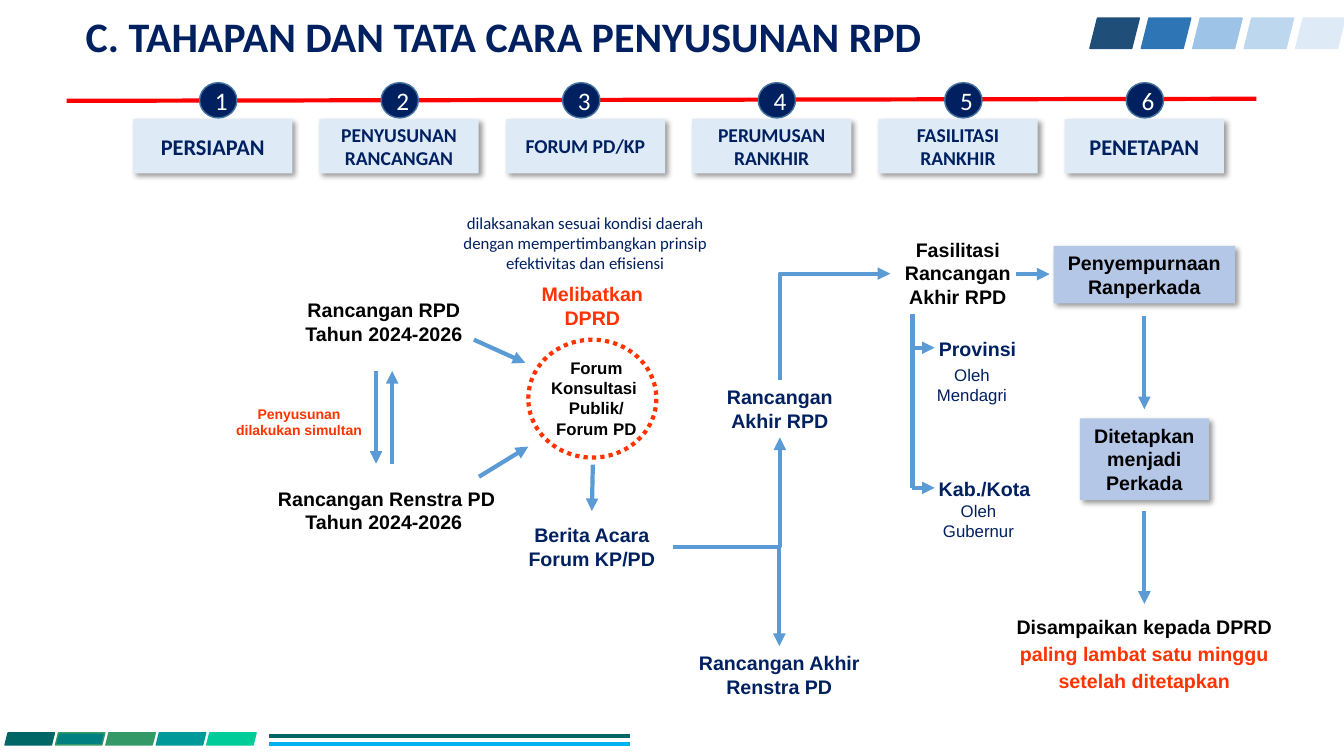
from dataclasses import dataclass
from typing import Any

from pptx import Presentation
from pptx import util as u
from pptx.dml import color
from pptx.enum import dml, shapes, text
from pptx.oxml import ns, xmlchemy

HUES = {
    "navy": "002060", "black": "000000", "white": "FFFFFF", "red": "FF0000",
    "orange": "FF3300", "arrow": "5B9BD5", "rim": "43739E", "pale": "DEEBF7",
    "box": "B4C7E7", "teal": "006666", "sky": "00B0F0",
    "b1": "1F4E79", "b2": "2E75B6", "b3": "9DC3E6", "b4": "BDD7EE",
    "g2": "008080", "g3": "339966", "g4": "009999", "g5": "00CC99",
}
STAGES = [("PERSIAPAN", 16, 1.98), ("PENYUSUNAN RANCANGAN", 14, 3.78),
          ("FORUM PD/KP", 14, 5.58), ("PERUMUSAN RANKHIR", 14, 7.52),
          ("FASILITASI RANKHIR", 14, 9.37), ("PENETAPAN", 16, 11.17)]
FORM = shapes.MSO_SHAPE


def rgb(name):
    """Return the colour held under a name."""
    return color.RGBColor.from_string(HUES[name])


def tag(name, **attrs):
    """Make a drawing element with attributes."""
    node = xmlchemy.OxmlElement(name)
    for key, value in attrs.items():
        node.set(key, str(value))
    return node


def write(shape, lines, size, hue, bold=True, face="Arial", align=text.PP_ALIGN.CENTER):
    """Fill a shape with lines of text in one style."""
    frame = shape.text_frame
    frame.word_wrap = True
    frame.text = lines
    for para in frame.paragraphs:
        para.alignment = align
        font = para.font
        font.name, font.size, font.bold = face, u.Pt(size), bold
        font.color.rgb = rgb(hue)


def shade(shape):
    """Cast a soft shadow to the lower right."""
    cast = tag("a:outerShdw", blurRad=u.Pt(4), dist=u.Pt(3), dir=2700000,
               algn="tl", rotWithShape=0)
    tint = tag("a:srgbClr", val=HUES["black"])
    tint.append(tag("a:alpha", val=40000))
    cast.append(tint)
    shape._element.spPr.find(ns.qn("a:effectLst")).append(cast)


def style(link, hue, end=None):
    """Colour a connector and give it an arrowhead if asked."""
    link.line.color.rgb = rgb(hue)
    link.line.width = u.Pt(3)
    if end:
        link.line._get_or_add_ln().append(tag(end, type="triangle"))
    link._element.spPr.append(tag("a:effectLst"))


@dataclass
class Box:
    """A region of the slide whose parts are placed from its corner."""
    slide: Any
    x: float
    y: float
    w: float
    h: float

    def area(self, x, y, w, h):
        """Turn a local rectangle into slide lengths."""
        return [u.Inches(v) for v in (self.x + x, self.y + y, w, h)]

    def form(self, kind, x, y, w, h, fill=None, edge=None, width=1):
        """Add a preset shape."""
        shape = self.slide.shapes.add_shape(kind, *self.area(x, y, w, h))
        shape.shadow.inherit = False
        if fill:
            shape.fill.solid()
            shape.fill.fore_color.rgb = rgb(fill)
        else:
            shape.fill.background()
        if edge:
            shape.line.color.rgb = rgb(edge)
            shape.line.width = u.Pt(width)
        else:
            shape.line.fill.background()
        return shape

    def label(self, lines, x, y, w, h, size=14, hue="navy", **look):
        """Add a centred text box."""
        shape = self.slide.shapes.add_textbox(*self.area(x, y, w, h))
        write(shape, lines, size, hue, **look)
        return shape

    def card(self, lines, x, y, w, h, fill="box", size=14, hue="black", **look):
        """Add a shadowed rectangle with text."""
        shape = self.form(FORM.RECTANGLE, x, y, w, h, fill)
        shade(shape)
        write(shape, lines, size, hue, **look)
        return shape

    def line(self, x1, y1, x2, y2, hue="arrow", end="a:tailEnd"):
        """Add a straight line, with an arrowhead unless told otherwise."""
        ends = self.area(x1, y1, self.x + x2, self.y + y2)
        link = self.slide.shapes.add_connector(shapes.MSO_CONNECTOR.STRAIGHT, *ends)
        style(link, hue, end)


def bend(slide, start, side, stop, port, end="a:tailEnd"):
    """Join two shapes with a line that turns once."""
    link = slide.shapes.add_connector(shapes.MSO_CONNECTOR.ELBOW, 0, 0, 0, 0)
    link.begin_connect(start, side)
    link.end_connect(stop, port)
    link._element.spPr.prstGeom.set("prst", "bentConnector2")
    style(link, "arrow", end)


def tiles(box, hues, step):
    """Draw a row of slanted tiles."""
    for i, (fill, edge) in enumerate(hues):
        box.form(FORM.PARALLELOGRAM, i * step, 0, 0.49, box.h, fill, edge)


def header(box):
    """Place the title and the tiles at its right."""
    title = box.slide.shapes.title
    title.left, title.top, title.width, title.height = box.area(0, 0, 9.98, box.h)
    write(title, "C. TAHAPAN DAN TATA CARA PENYUSUNAN RPD", 30, "navy",
          face="Calibri", align=text.PP_ALIGN.LEFT)
    title.text_frame.vertical_anchor = text.MSO_ANCHOR.MIDDLE
    row = Box(box.slide, box.x + 10.06, box.y + 0.09, 2.53, 0.3)
    tiles(row, [(hue, hue) for hue in ("b1", "b2", "b3", "b4", "pale")], 0.51)


def footer(box):
    """Draw the tiles and twin rules at the bottom."""
    hues = [("teal", "teal"), ("g2", "g3"), ("g3", "g3"), ("g4", "g4"), ("g5", "g5")]
    tiles(box, hues, 0.5)
    for y, hue in ((0.03, "teal"), (0.11, "sky")):
        box.line(2.62, y, box.w, y, hue, None)


def stages(box):
    """Draw the numbered timeline and its cards."""
    box.line(0, 0.18, box.w, 0.16, "red", None)
    for i, (name, size, spot) in enumerate(STAGES):
        box.card(name, 0.66 + i * 1.848, 0.36, 1.58, 0.54, "pale", size, "navy",
                 face="Calibri")
        badge = box.form(FORM.OVAL, spot - box.x, 0, 0.37, 0.35, "navy", "rim")
        write(badge, str(i + 1), 18, "white", False, "Calibri")


def drafts(box):
    """Show the two drafts that are written side by side."""
    box.label("Rancangan RPD \nTahun 2024-2026 ", 0.42, 0, 2.59, 0.57, hue="black")
    box.line(1.61, 0.77, 1.61, 1.69)
    box.line(1.77, 1.69, 1.77, 0.77)
    box.label("Penyusunan dilakukan simultan", 0, 1.06, 1.69, 0.44, 10, "orange")
    box.label("Rancangan Renstra PD Tahun 2024-2026 ", 0.46, 1.87, 2.51, 0.57,
              hue="black")
    box.line(2.63, 1.82, 3.12, 1.52)
    box.line(2.58, 0.46, 3.09, 0.69)


def forum(box):
    """Show the public forum and return the box of its minutes."""
    box.label("dilaksanakan sesuai kondisi daerah dengan mempertimbangkan prinsip\n"
              "efektivitas dan efisiensi", 0, 0, 3.03, 0.71, 12, bold=False,
              face="Calibri")
    box.label("Melibatkan DPRD", 0.76, 0.69, 1.65, 0.57, hue="orange")
    box.label("Forum\nKonsultasi \nPublik/\nForum PD", 0.8, 1.44, 1.65, 0.91, 12,
              "black")
    ring = box.form(FORM.OVAL, 0.95, 1.31, 1.27, 1.17, None, "orange", 3)
    ring.line.dash_style = dml.MSO_LINE.ROUND_DOT
    box.line(1.59, 2.55, 1.58, 3.01)
    return box.label("Berita Acara Forum KP/PD", 0.77, 3.08, 1.62, 0.57)


def finals(box):
    """Show the two final drafts and return their boxes."""
    return (box.label("Rancangan Akhir RPD", 0.17, 0, 1.53, 0.57),
            box.label("Rancangan Akhir Renstra PD", 0, 2.64, 1.86, 0.57))


def review(box):
    """Show who reviews the final draft and return the top box."""
    top = box.label("Fasilitasi Rancangan Akhir RPD", 0, 0, 1.34, 0.81, hue="black")
    box.line(0.22, 0.81, 0.22, 2.53, end=None)
    for y in (1.14, 2.53):
        box.line(0.22, y, 0.44, y)
    box.label("Provinsi", 0.04, 0.98, 1.65, 0.34)
    box.label("Oleh Mendagri", 0.25, 1.26, 1.12, 0.5, 12, bold=False)
    box.label("Kab./Kota", 0.11, 2.37, 1.65, 0.34)
    box.label("Oleh Gubernur", 0.29, 2.61, 1.17, 0.5, 12, bold=False)
    box.line(1.25, 0.41, 1.58, 0.41)
    return top


def enact(box):
    """Show the steps from revision to delivery."""
    box.card("Penyempurnaan Ranperkada", 0.69, 0, 1.8, 0.57)
    box.card("Ditetapkan menjadi Perkada", 0.95, 1.71, 1.28, 0.81)
    for y in (0.7, 2.63):
        box.line(1.59, y, 1.59, y + 0.92)
    note = box.label("Disampaikan kepada DPRD ", 0, 3.58, box.w, 0.91, hue="black")
    para = note.text_frame.paragraphs[0]
    para.line_spacing, para.space_after = 1.15, u.Pt(8)
    run = para.add_run()
    run.text = "paling lambat satu minggu setelah ditetapkan"
    run.font.color.rgb = rgb("orange")


def main():
    """Build the slide and save it."""
    deck = Presentation()
    deck.slide_width, deck.slide_height = u.Inches(13.33), u.Inches(7.5)
    slide = deck.slides.add_slide(deck.slide_layouts[5])
    header(Box(slide, 0.75, 0.09, 12.58, 0.53))
    footer(Box(slide, 0.05, 7.27, 6.2, 0.12))
    stages(Box(slide, 0.66, 0.82, 11.8, 0.9))
    drafts(Box(slide, 2.12, 2.91, 3.12, 2.44))
    minutes = forum(Box(slide, 4.29, 2.06, 3.03, 3.65))
    plan, renstra = finals(Box(slide, 6.8, 3.77, 1.86, 3.21))
    check = review(Box(slide, 8.83, 2.31, 1.76, 3.11))
    enact(Box(slide, 9.76, 2.44, 3.18, 4.49))
    bend(slide, minutes, 3, plan, 2)
    bend(slide, minutes, 3, renstra, 0)
    bend(slide, check, 1, plan, 0, "a:headEnd")
    deck.save("out.pptx")


if __name__ == "__main__":
    main()
